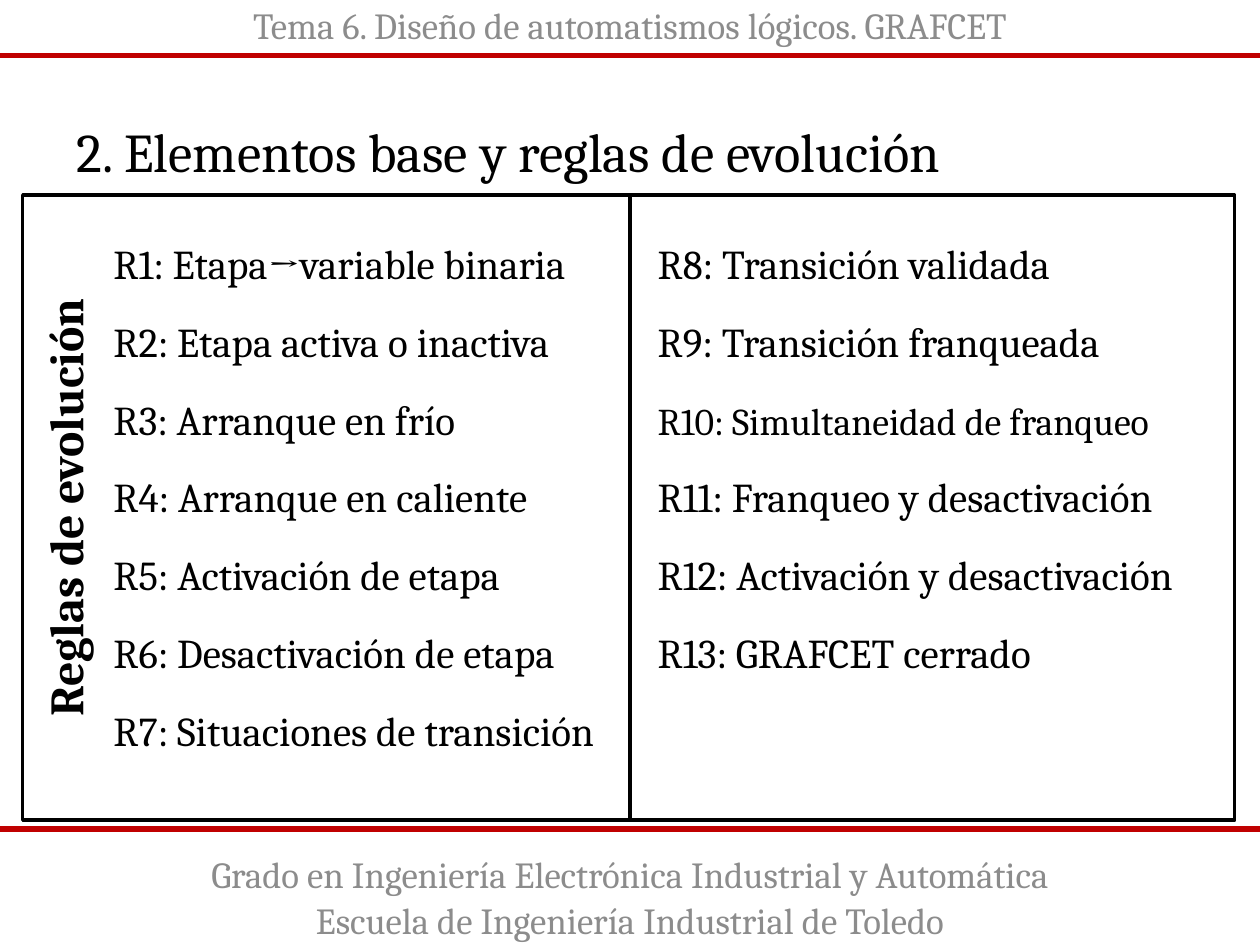
from dataclasses import dataclass

from lxml.etree import SubElement
from pptx import Presentation
from pptx.dml.color import RGBColor
from pptx.enum.shapes import MSO_CONNECTOR, MSO_SHAPE
from pptx.enum.text import MSO_ANCHOR, MSO_AUTO_SIZE, PP_ALIGN
from pptx.oxml.ns import qn
from pptx.util import Inches, Pt


@dataclass(frozen=True)
class Theme:
    font: str = "Cambria"
    ink: RGBColor = RGBColor(0x00, 0x00, 0x00)
    muted: RGBColor = RGBColor(0x8C, 0x8C, 0x8C)
    accent: RGBColor = RGBColor(0xC0, 0x00, 0x00)
    title: float = 31.2
    label: float = 27.3
    rule: float = 23.4
    long_rule: float = 21.6
    band: float = 21


theme = Theme()


def place(shape, left, top, width, height):
    shape.left, shape.top = Inches(left), Inches(top)
    shape.width, shape.height = Inches(width), Inches(height)


def write(shape, lines, size, color=theme.ink, align=PP_ALIGN.LEFT, anchor=MSO_ANCHOR.MIDDLE):
    frame = shape.text_frame
    frame.text = "\n".join(lines)
    frame.word_wrap = True
    frame.auto_size = MSO_AUTO_SIZE.NONE
    frame.vertical_anchor = anchor
    for paragraph in frame.paragraphs:
        paragraph.alignment = align
        paragraph.font.name = theme.font
        paragraph.font.size = Pt(size)
        paragraph.font.color.rgb = color
    return frame


presentation = Presentation()
presentation.slide_width = Inches(10)
presentation.slide_height = Inches(7.5)
slide = presentation.slides.add_slide(presentation.slide_layouts.get_by_name("Two Content"))
title, left_list, right_list = slide.placeholders

place(title, 0.51, 0.84, 9.06, 0.71)
write(title, ["2. Elementos base y reglas de evolución"], theme.title)

for left, width in [(0.18, 4.82), (5, 4.8)]:
    panel = slide.shapes.add_shape(
        MSO_SHAPE.RECTANGLE, Inches(left), Inches(1.55), Inches(width), Inches(4.96)
    )
    panel.shadow.inherit = False
    panel.fill.background()
    panel.line.color.rgb = theme.ink
    panel.line.width = Pt(2)

left_rules = [
    "R1: Etapa→variable binaria",
    "R2: Etapa activa o inactiva",
    "R3: Arranque en frío",
    "R4: Arranque en caliente",
    "R5: Activación de etapa",
    "R6: Desactivación de etapa",
    "R7: Situaciones de transición",
]
right_rules = [
    "R8: Transición validada",
    "R9: Transición franqueada",
    "R10: Simultaneidad de franqueo",
    "R11: Franqueo y desactivación",
    "R12: Activación y desactivación",
    "R13: GRAFCET cerrado",
]
for rule_list, rules, left, width in [
    (left_list, left_rules, 0.8, 4.2),
    (right_list, right_rules, 5.12, 4.57),
]:
    place(rule_list, left, 1.67, width, 4.4)
    frame = write(rule_list, rules, theme.rule, anchor=MSO_ANCHOR.TOP)
    frame.margin_top = frame.margin_bottom = Inches(0)
    for paragraph in frame.paragraphs:
        paragraph.line_spacing = Pt(44.4)
        paragraph.space_before = Pt(0)
        properties = paragraph._p.get_or_add_pPr()
        properties.set("marL", "0")
        properties.set("indent", "0")
        properties.insert_element_before(
            SubElement(properties, qn("a:buNone")), "a:tabLst", "a:defRPr", "a:extLst"
        )
right_list.text_frame.paragraphs[2].font.size = Pt(theme.long_rule)

label = slide.shapes.add_textbox(Inches(-1.97), Inches(3.69), Inches(4.96), Inches(0.67))
label.rotation = 270
label_frame = write(label, ["Reglas de evolución"], theme.label, align=PP_ALIGN.CENTER)
label_frame.paragraphs[0].font.bold = True

header = ["Tema 6. Diseño de automatismos lógicos. GRAFCET"]
footer = [
    "Grado en Ingeniería Electrónica Industrial y Automática",
    "Escuela de Ingeniería Industrial de Toledo",
]
for lines, top, height, divider_top in [(header, 0, 0.44, 0.44), (footer, 6.74, 0.76, 6.58)]:
    band = slide.shapes.add_textbox(Inches(0), Inches(top), Inches(10), Inches(height))
    frame = write(band, lines, theme.band, theme.muted, PP_ALIGN.CENTER, MSO_ANCHOR.TOP)
    for paragraph in frame.paragraphs:
        paragraph.line_spacing = 0.95
        paragraph.space_before = Pt(2)
    divider = slide.shapes.add_connector(
        MSO_CONNECTOR.STRAIGHT, Inches(0), Inches(divider_top), Inches(10), Inches(divider_top)
    )
    divider.line.color.rgb = theme.accent
    divider.line.width = Pt(3)
    SubElement(divider._element.spPr, qn("a:effectLst"))

presentation.save("out.pptx")
